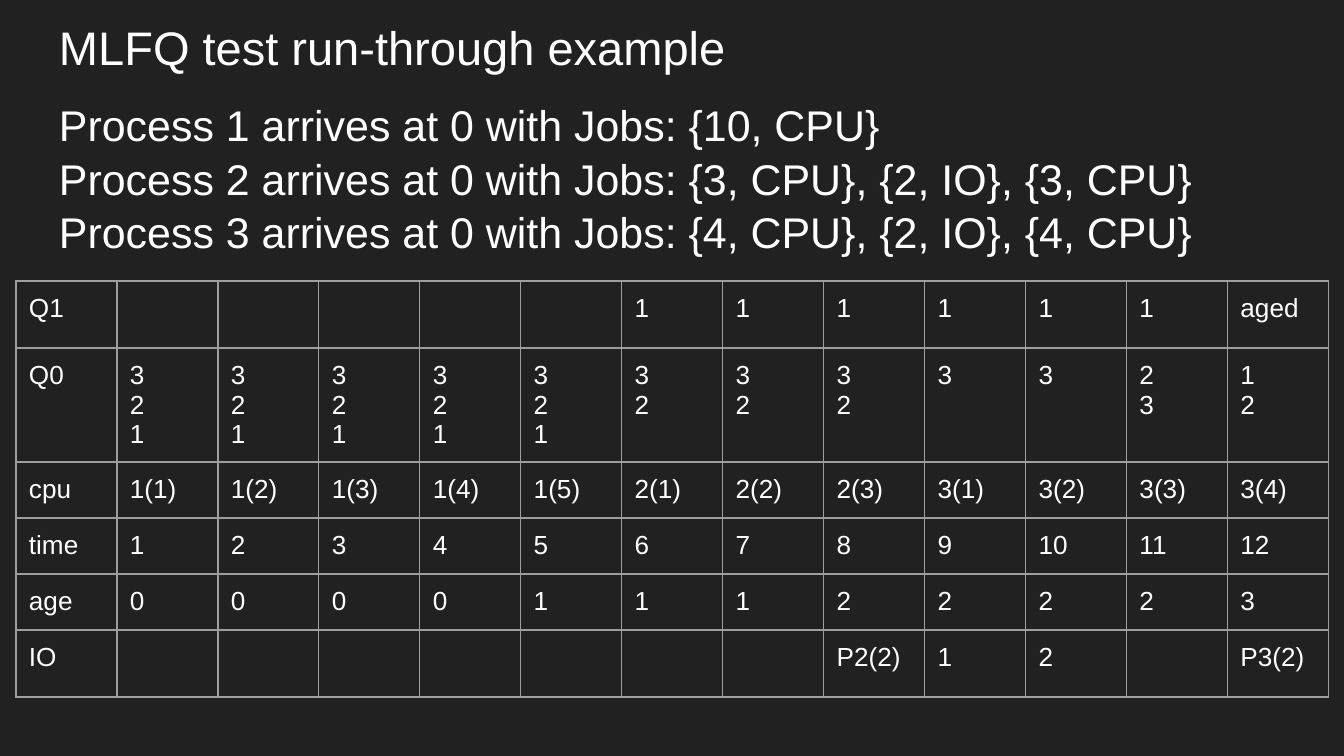
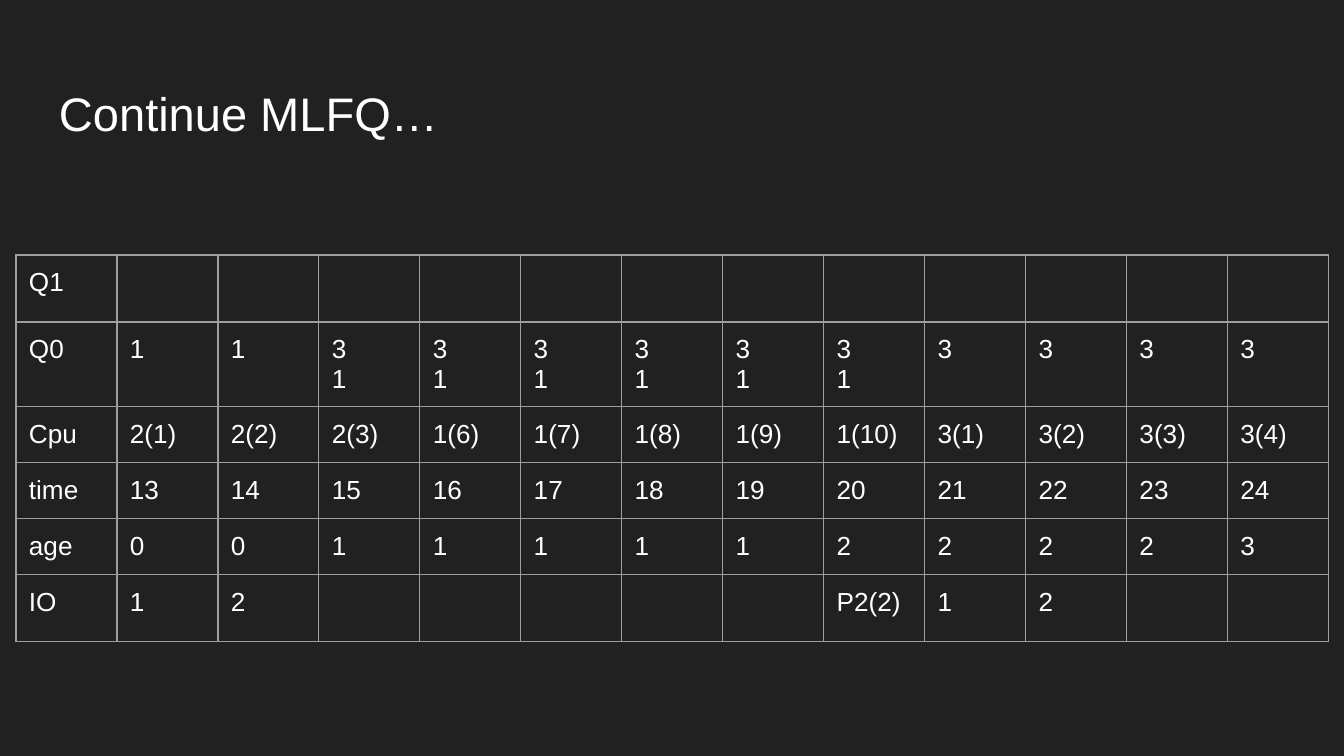
from dataclasses import dataclass

from lxml import etree
from pptx import Presentation
from pptx.dml.color import RGBColor
from pptx.enum.text import MSO_ANCHOR, MSO_AUTO_SIZE, PP_ALIGN
from pptx.oxml.ns import qn
from pptx.util import Emu, Pt

TOP = MSO_ANCHOR.TOP
LEFT = PP_ALIGN.LEFT
NO_AUTOFIT = MSO_AUTO_SIZE.NONE
PAGE_WIDTH, PAGE_HEIGHT = 1344, 756
EMU_PER_PX = 9144000 / PAGE_WIDTH
TITLE_ONLY = 5


@dataclass(frozen=True)
class Theme:
    font: str = "Arial"
    background: str = "212121"
    text: str = "FFFFFF"
    border: str = "9E9E9E"
    border_width: float = 0.75
    title_size: float = 25.2
    jobs_size: float = 23
    cell_size: float = 14
    title_spacing: float = 1.1
    jobs_spacing: float = 1.04
    inset: int = 13


THEME = Theme()

TITLE_BOX = (46, 0, 1253, 85)
CONTINUED_TITLE_BOX = (46, 66, 1253, 85)
JOBS_BOX = (46, 84, 1253, 198)
COLUMN_WIDTH, ROW_HEIGHT = 101, 56
SCHEDULE_LEFT = 16

JOBS = [
    "Process 1 arrives at 0 with Jobs: {10, CPU}",
    "Process 2 arrives at 0 with Jobs: {3, CPU}, {2, IO}, {3, CPU}",
    "Process 3 arrives at 0 with Jobs: {4, CPU}, {2, IO}, {4, CPU}",
]


def ticks(process, first, last):
    return [f"{process}({tick})" for tick in range(first, last + 1)]


def times(first, last):
    return [str(time) for time in range(first, last + 1)]


FIRST_SCHEDULE = [
    ["Q1"] + [""] * 5 + ["1"] * 6 + ["aged"],
    ["Q0"] + ["3\n2\n1"] * 5 + ["3\n2"] * 3 + ["3"] * 2 + ["2\n3", "1\n2"],
    ["cpu"] + ticks(1, 1, 5) + ticks(2, 1, 3) + ticks(3, 1, 4),
    ["time"] + times(1, 12),
    ["age"] + ["0"] * 4 + ["1"] * 3 + ["2"] * 4 + ["3"],
    ["IO"] + [""] * 7 + ["P2(2)", "1", "2", "", "P3(2)"],
]

SECOND_SCHEDULE = [
    ["Q1"] + [""] * 12,
    ["Q0"] + ["1"] * 2 + ["3\n1"] * 6 + ["3"] * 4,
    ["Cpu"] + ticks(2, 1, 3) + ticks(1, 6, 10) + ticks(3, 1, 4),
    ["time"] + times(13, 24),
    ["age"] + ["0"] * 2 + ["1"] * 5 + ["2"] * 4 + ["3"],
    ["IO", "1", "2"] + [""] * 5 + ["P2(2)", "1", "2", "", ""],
]


def px(length):
    return Emu(round(length * EMU_PER_PX))


def set_margins(target):
    target.margin_left = target.margin_right = px(THEME.inset)
    target.margin_top = target.margin_bottom = px(THEME.inset)


def write_lines(frame, lines, size, spacing=None):
    for index, line in enumerate(lines):
        para = frame.paragraphs[0] if index == 0 else frame.add_paragraph()
        para.alignment = LEFT
        if spacing:
            para.line_spacing = spacing
        span = para.add_run()
        span.text = line
        span.font.name = THEME.font
        span.font.size = Pt(size)
        span.font.color.rgb = RGBColor.from_string(THEME.text)


def fill_frame(shape, lines, size, spacing):
    frame = shape.text_frame
    frame.word_wrap = True
    frame.auto_size = NO_AUTOFIT
    frame.vertical_anchor = TOP
    set_margins(frame)
    write_lines(frame, lines, size, spacing)


def add_title(page, box, text):
    title = page.shapes.title
    title.left, title.top, title.width, title.height = map(px, box)
    fill_frame(title, [text], THEME.title_size, THEME.title_spacing)


def add_jobs(page, box):
    jobs = page.shapes.add_textbox(*map(px, box))
    fill_frame(jobs, JOBS, THEME.jobs_size, THEME.jobs_spacing)


def set_borders(cell):
    properties = cell._tc.get_or_add_tcPr()
    for side in ("a:lnL", "a:lnR", "a:lnT", "a:lnB"):
        line = etree.SubElement(properties, qn(side), w=str(Pt(THEME.border_width)))
        fill = etree.SubElement(line, qn("a:solidFill"))
        etree.SubElement(fill, qn("a:srgbClr"), val=THEME.border)


def add_schedule(page, top, rows):
    row_count, column_count = len(rows), len(rows[0])
    box = (SCHEDULE_LEFT, top, column_count * COLUMN_WIDTH, row_count * ROW_HEIGHT)
    table = page.shapes.add_table(row_count, column_count, *map(px, box)).table
    table.first_row = False
    table.horz_banding = False
    for column in table.columns:
        column.width = px(COLUMN_WIDTH)
    for row, values in zip(table.rows, rows):
        row.height = px(ROW_HEIGHT)
        for cell, value in zip(row.cells, values):
            set_margins(cell)
            cell.vertical_anchor = TOP
            set_borders(cell)
            cell.fill.background()
            if value:
                write_lines(cell.text_frame, value.split("\n"), THEME.cell_size)


def add_page(deck, title_box, title, schedule_top, schedule):
    page = deck.slides.add_slide(deck.slide_layouts[TITLE_ONLY])
    add_title(page, title_box, title)
    add_schedule(page, schedule_top, schedule)
    return page


def main():
    deck = Presentation()
    deck.slide_width, deck.slide_height = px(PAGE_WIDTH), px(PAGE_HEIGHT)
    background = deck.slide_master.background.fill
    background.solid()
    background.fore_color.rgb = RGBColor.from_string(THEME.background)

    example = add_page(deck, TITLE_BOX, "MLFQ test run-through example", 281, FIRST_SCHEDULE)
    add_jobs(example, JOBS_BOX)
    add_page(deck, CONTINUED_TITLE_BOX, "Continue MLFQ…", 255, SECOND_SCHEDULE)
    deck.save("out.pptx")


if __name__ == "__main__":
    main()
